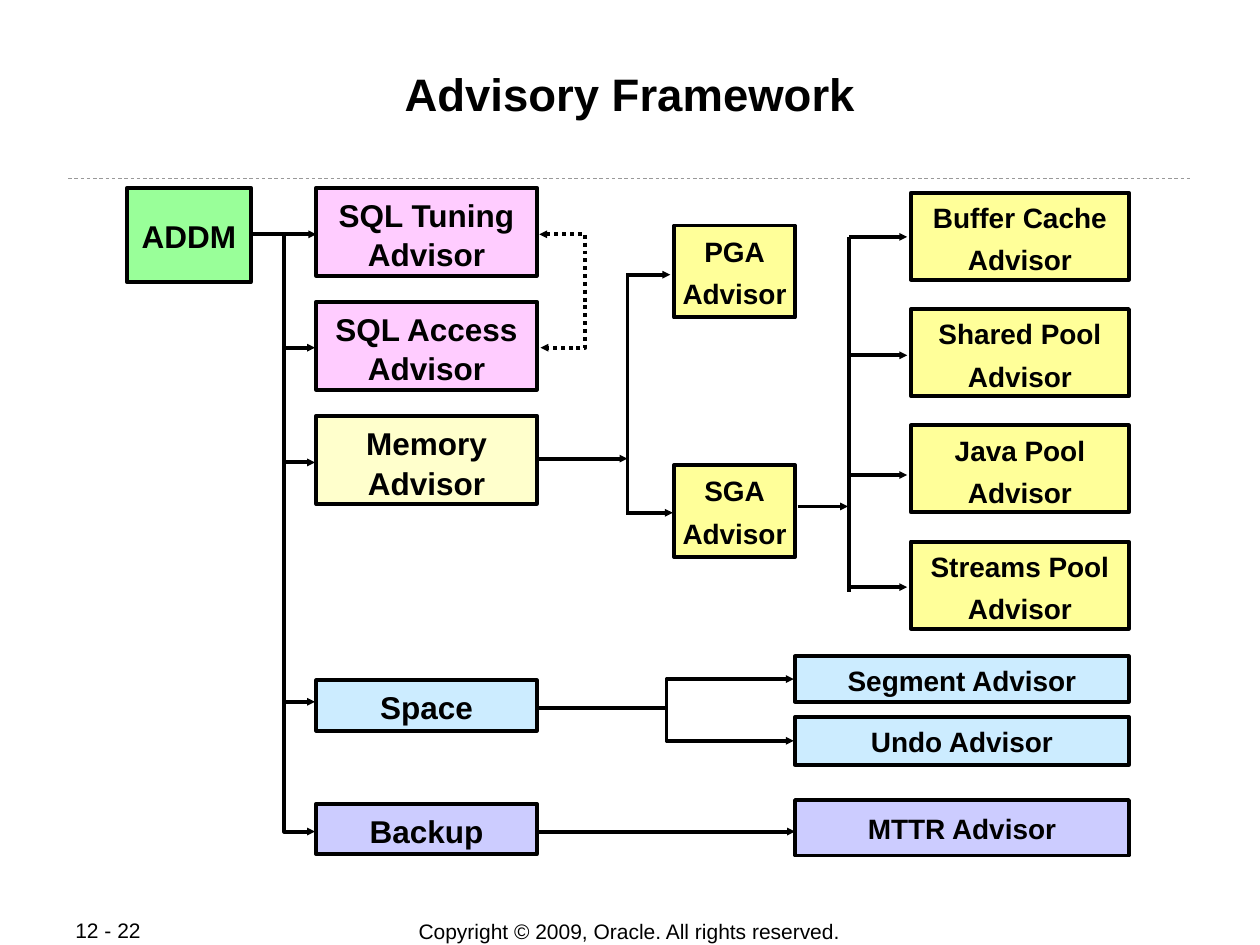
import pptx
import pptx.dml.color
import pptx.enum.dml
import pptx.enum.shapes
import pptx.enum.text
import pptx.oxml
import pptx.oxml.ns
import pptx.util

presentation = pptx.Presentation()
presentation.slide_width = pptx.util.Inches(10)
presentation.slide_height = pptx.util.Inches(7.5)
slide = presentation.slides.add_slide(presentation.slide_layouts[6])
column = presentation.slide_width / 100
row = presentation.slide_height / 75

color = pptx.dml.color.RGBColor.from_string
anchors = pptx.enum.text.MSO_ANCHOR
alignments = pptx.enum.text.PP_ALIGN
connectors = pptx.enum.shapes.MSO_CONNECTOR
dashes = pptx.enum.dml.MSO_LINE
straight, elbow = connectors.STRAIGHT, connectors.ELBOW


def add_text(left, top, width, height, lines, size, fill=None, bold=True,
             anchor=anchors.MIDDLE, alignment=alignments.CENTER, wrap=True):
    place = [int(left * column), int(top * row), int(width * column), int(height * row)]
    if fill:
        shape = slide.shapes.add_shape(pptx.enum.shapes.MSO_SHAPE.RECTANGLE, *place)
        shape.shadow.inherit = False
        shape.fill.solid()
        shape.fill.fore_color.rgb = color(fill)
        shape.line.color.rgb = color("000000")
        shape.line.width = pptx.util.Pt(2.25)
    else:
        shape = slide.shapes.add_textbox(*place)
    frame = shape.text_frame
    frame.word_wrap = wrap
    frame.vertical_anchor = anchor
    frame.text = "\n".join(lines)
    for index, paragraph in enumerate(frame.paragraphs):
        paragraph.alignment = alignment
        paragraph.line_spacing = 1.05
        paragraph.space_before = pptx.util.Pt(4 if index else 0)
        paragraph.font.name = "Arial"
        paragraph.font.size = pptx.util.Pt(size)
        paragraph.font.bold = bold
        paragraph.font.color.rgb = color("000000")
    return shape


def add_line(kind, start, end, ends=("tailEnd",), line_color="000000", width=2.25, dash=None):
    connector = slide.shapes.add_connector(
        kind, int(start[0] * column), int(start[1] * row),
        int(end[0] * column), int(end[1] * row))
    connector.line.color.rgb = color(line_color)
    connector.line.width = pptx.util.Pt(width)
    if dash:
        connector.line.dash_style = dash
    outline = connector.line._get_or_add_ln()
    for name in ends:
        arrowhead = pptx.oxml.parse_xml(
            f'<a:{name} {pptx.oxml.ns.nsdecls("a")} type="triangle" w="sm" len="sm"/>')
        outline.append(arrowhead)
    connector._element.spPr.append(
        pptx.oxml.parse_xml(f'<a:effectLst {pptx.oxml.ns.nsdecls("a")}/>'))
    return connector


add_line(straight, (5.4, 14.2), (94.6, 14.2), (), "999999", 0.5, dashes.DASH)
title = add_text(6.7, 4.9, 86.6, 9.6, ["Advisory Framework"], 26, anchor=anchors.TOP)
title.text_frame.margin_top = title.text_frame.margin_bottom = pptx.util.Inches(0.01)
add_text(5, 72.8, 10.6, 2, ["12 - 22"], 12, bold=False, alignment=alignments.LEFT)
add_text(27.5, 72.8, 44.9, 2.1, ["Copyright © 2009, Oracle. All rights reserved."], 12, bold=False)

for end_row in (27.6, 36.7, 66):
    add_line(elbow, (20.1, 18.6), (25, end_row))
for end_row in (53.9, 58.8):
    add_line(elbow, (42.8, 56.2), (63, end_row))

tuning_access_link = add_line(elbow, (42.8, 18.6), (42.9, 27.6), ("headEnd", "tailEnd"),
                              dash=dashes.ROUND_DOT)
adjustments = tuning_access_link._element.spPr.prstGeom.get_or_add_avLst()
adjustments.append(pptx.oxml.parse_xml(
    f'<a:gd {pptx.oxml.ns.nsdecls("a")} name="adj1" fmla="val 3700000"/>'))

for start, end in [
    ((22.4, 18.6), (25.1, 18.6)),
    ((22.7, 55.7), (25, 55.7)),
    ((42.7, 66), (63.1, 66)),
    ((42.7, 36.4), (49.8, 36.4)),
    ((49.8, 21.8), (53.2, 21.8)),
    ((49.8, 40.7), (53.4, 40.7)),
    ((63.3, 40.2), (67.3, 40.2)),
    ((67.4, 18.8), (72, 18.8)),
    ((67.4, 28.2), (72, 28.2)),
    ((67.4, 37.7), (72, 37.7)),
    ((67.4, 46.6), (72, 46.6)),
]:
    add_line(straight, start, end)
for trunk_column, top, bottom in [(49.8, 21.7, 40.9), (67.4, 18.8, 47)]:
    add_line(straight, (trunk_column, top), (trunk_column, bottom), ())

add_text(10.1, 14.9, 9.8, 7.5, ["ADDM"], 18, "99FF99")
for top, height, label, fill in [
    (14.9, 7, "SQL Tuning Advisor", "FFCCFF"),
    (23.95, 7, "SQL Access Advisor", "FFCCFF"),
    (33, 7, "Memory Advisor", "FFFFCC"),
    (54, 4, "Space", "CCECFF"),
    (63.8, 4, "Backup", "CCCCFF"),
]:
    add_text(25.1, top, 17.5, height, [label], 18, fill, anchor=anchors.TOP)

for top, area in [(17.9, "PGA"), (36.9, "SGA")]:
    add_text(53.5, top, 9.6, 7.3, [area, "Advisor"], 16, "FFFF99", wrap=False)

for index, pool in enumerate(["Buffer Cache", "Shared Pool", "Java Pool", "Streams Pool"]):
    add_text(72.3, 15.3 + 9.23 * index, 17.3, 6.9, [pool, "Advisor"], 16, "FFFF99",
             anchor=anchors.TOP)

for top, height, label, fill in [
    (52.1, 3.6, "Segment Advisor", "CCECFF"),
    (56.9, 3.8, "Undo Advisor", "CCECFF"),
    (63.5, 4.4, "MTTR Advisor", "CCCCFF"),
]:
    add_text(63.1, top, 26.5, height, [label], 16, fill)

presentation.save("out.pptx")
